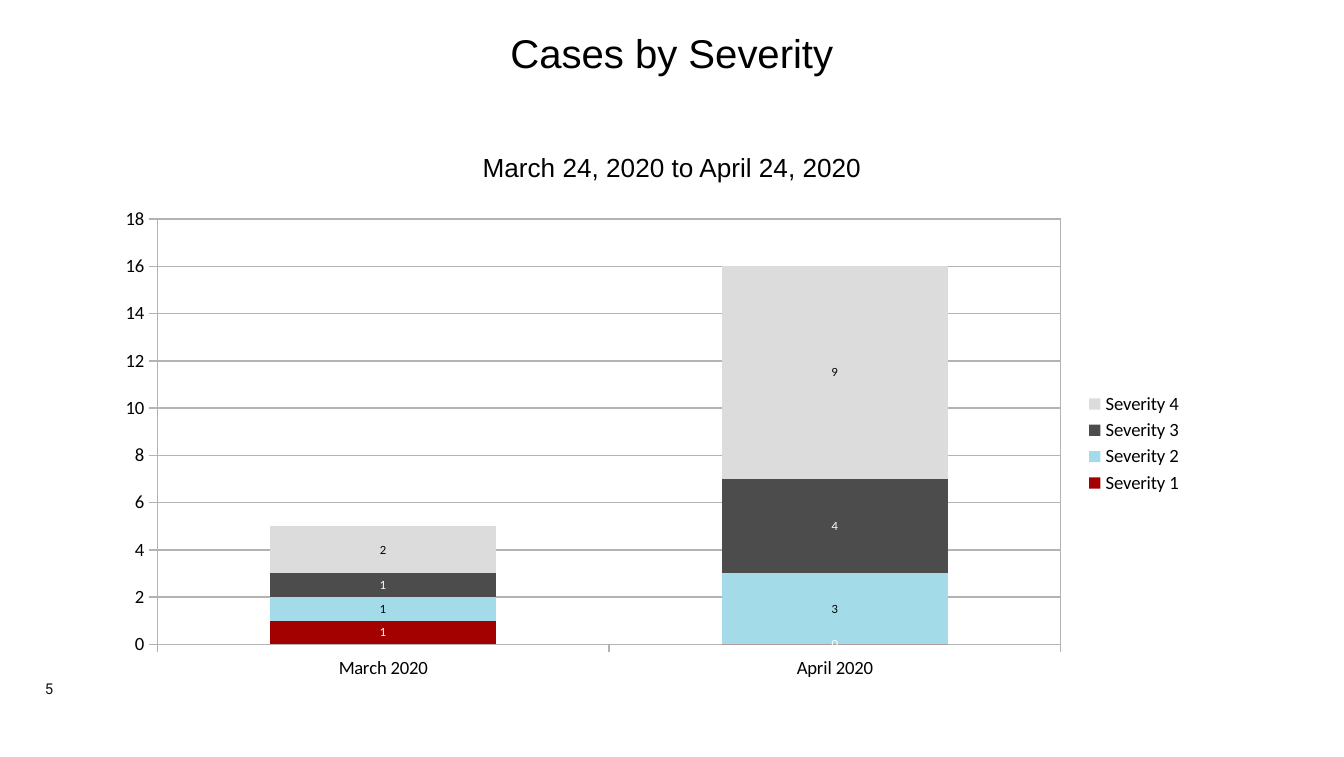
from lxml.etree import SubElement
from pptx import Presentation
from pptx.chart.data import CategoryChartData
from pptx.dml.color import RGBColor
from pptx.enum.chart import XL_CHART_TYPE, XL_LABEL_POSITION, XL_LEGEND_POSITION, XL_TICK_MARK
from pptx.enum.text import MSO_ANCHOR, MSO_AUTO_SIZE, PP_ALIGN
from pptx.oxml import parse_xml
from pptx.oxml.ns import nsdecls, qn
from pptx.util import Emu, Pt

SCALE = 914400 / 134.4
COLORS = {
    "black": "000000",
    "white": "FFFFFF",
    "number": "141414",
    "grid": "B3B3B3",
    "red": "A30000",
    "blue": "A3DBE8",
    "charcoal": "4C4C4C",
    "silver": "DCDCDC",
}
MONTHS = ["March 2020", "April 2020"]
SEVERITIES = [
    ("Severity 1", (1, 0), "red", "white"),
    ("Severity 2", (1, 3), "blue", "black"),
    ("Severity 3", (1, 4), "charcoal", "white"),
    ("Severity 4", (2, 9), "silver", "black"),
]
PLOT_LAYOUT = {"x": 0.048, "y": 0.041, "w": 0.828, "h": 0.87}


def px(length):
    """Turn a length in px into EMU."""
    return Emu(round(length * SCALE))


def color(name):
    """Return the named colour."""
    return RGBColor.from_string(COLORS[name])


def style_font(font, size, face, shade="black"):
    """Set size, typeface and colour of a font."""
    font.size = Pt(size)
    font.name = face
    font.bold = False
    font.color.rgb = color(shade)


def write_text(box, text, *, size, face="Arial", shade="black", anchor=MSO_ANCHOR.MIDDLE):
    """Put one centred line of formatted text in a box."""
    frame = box.text_frame
    frame.margin_left = frame.margin_top = frame.margin_right = frame.margin_bottom = 0
    frame.word_wrap = True
    frame.auto_size = MSO_AUTO_SIZE.NONE
    frame.vertical_anchor = anchor
    para = frame.paragraphs[0]
    para.alignment = PP_ALIGN.CENTER
    span = para.add_run()
    span.text = text
    style_font(span.font, size, face, shade)


def add_title(page, text, left, top, width, height):
    """Move the title placeholder and fill it."""
    title = page.shapes.title
    title.left, title.top, title.width, title.height = map(px, (left, top, width, height))
    write_text(title, text, size=21.5, anchor=MSO_ANCHOR.TOP)


def add_label(page, text, left, top, width, height, **text_format):
    """Add a text box with one line of text."""
    box = page.shapes.add_textbox(*map(px, (left, top, width, height)))
    write_text(box, text, **text_format)


def style_line(line):
    """Make a line a grey hairline."""
    line.color.rgb = color("grid")
    line.width = Pt(0)


def frame_plot(chart):
    """Fix the inner plot area and outline it."""
    area = chart._chartSpace.chart.plotArea
    old_layout = area.find(qn("c:layout"))
    if old_layout is not None:
        area.remove(old_layout)
    layout = parse_xml(f'<c:layout {nsdecls("c")}/>')
    manual = SubElement(layout, qn("c:manualLayout"))
    SubElement(manual, qn("c:layoutTarget")).set("val", "inner")
    for side in "xy":
        SubElement(manual, qn(f"c:{side}Mode")).set("val", "edge")
    for side, share in PLOT_LAYOUT.items():
        SubElement(manual, qn(f"c:{side}")).set("val", str(share))
    area.insert(0, layout)
    area.append(parse_xml(
        f'<c:spPr {nsdecls("c", "a")}><a:noFill/><a:ln w="0"><a:solidFill>'
        f'<a:srgbClr val="{COLORS["grid"]}"/></a:solidFill></a:ln></c:spPr>'))


def style_series(series, fill, label_shade):
    """Colour a series and label its values."""
    series.format.fill.solid()
    series.format.fill.fore_color.rgb = color(fill)
    labels = series.data_labels
    labels.show_value = True
    labels.position = XL_LABEL_POSITION.CENTER
    style_font(labels.font, 6, "Lato", label_shade)


def add_severity_chart(page, left, top, width, height):
    """Add the stacked columns of cases by month."""
    data = CategoryChartData()
    data.categories = MONTHS
    for name, values, *_ in SEVERITIES:
        data.add_series(name, values)
    chart = page.shapes.add_chart(
        XL_CHART_TYPE.COLUMN_STACKED, *map(px, (left, top, width, height)), data).chart
    chart.has_title = False
    style_font(chart.font, 10, "Arial")
    chart.has_legend = True
    chart.legend.position = XL_LEGEND_POSITION.RIGHT
    chart.legend.include_in_layout = False
    style_font(chart.legend.font, 10, "Calibri")
    for axis in (chart.category_axis, chart.value_axis):
        axis.major_tick_mark = XL_TICK_MARK.OUTSIDE
        axis.minor_tick_mark = XL_TICK_MARK.NONE
        style_font(axis.tick_labels.font, 10, "Calibri")
        style_line(axis.format.line)
    values = chart.value_axis
    values.minimum_scale, values.maximum_scale, values.major_unit = 0, 18, 2
    values.has_major_gridlines = True
    style_line(values.major_gridlines.format.line)
    plot = chart.plots[0]
    plot.gap_width = plot.overlap = 100
    plot.vary_by_categories = False
    for series, (_, _, fill, label_shade) in zip(plot.series, SEVERITIES):
        style_series(series, fill, label_shade)
    frame_plot(chart)


def main():
    """Build and save the slide."""
    deck = Presentation()
    deck.slide_width, deck.slide_height = px(1344), px(757)
    page = deck.slides.add_slide(deck.slide_layouts[5])
    add_title(page, "Cases by Severity", 101, 28, 1142, 75)
    add_severity_chart(page, 105, 199, 1091, 489)
    add_label(page, "March 24, 2020 to April 24, 2020", 101, 129, 1142, 77, size=14)
    add_label(page, "5", 4, 676, 90, 21, size=8, face="Roboto", shade="number",
              anchor=MSO_ANCHOR.BOTTOM)
    deck.save("out.pptx")


if __name__ == "__main__":
    main()
